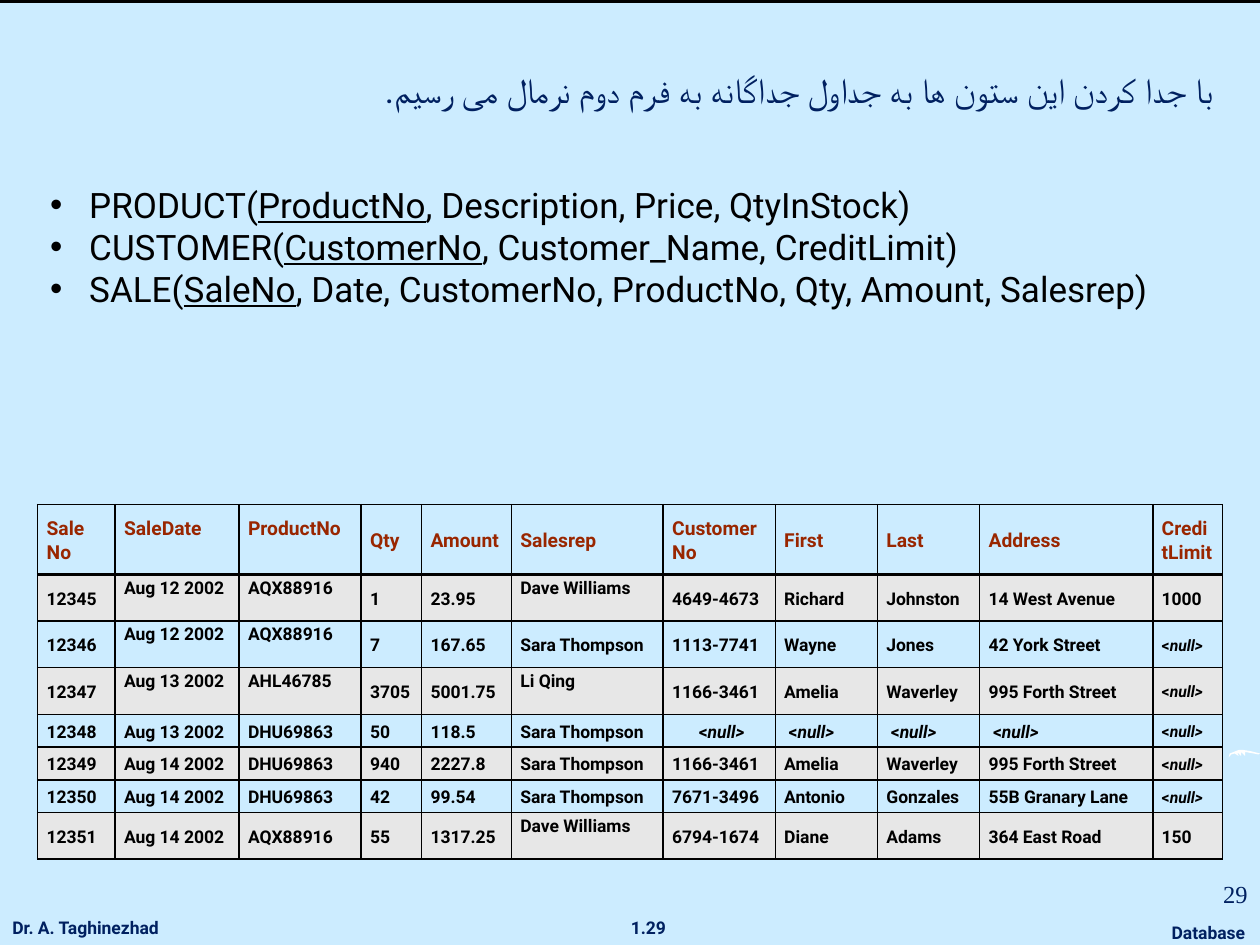
from lxml.etree import SubElement
from pptx import Presentation
from pptx.dml.color import RGBColor
from pptx.enum.shapes import MSO_SHAPE as Shape
from pptx.enum.text import MSO_ANCHOR as Anchor, PP_ALIGN as Align
from pptx.oxml import parse_xml
from pptx.oxml.ns import nsdecls, qn
from pptx.util import Cm, Pt

BLACK, NAVY, RUST = "000000", "002060", "992600"
SKY, GREY, WHITE = "CCECFF", "E7E7E7", "FFFFFF"
FONT = "Roboto"
NULL = "<null>"

FOOTERS = [
    ("Dr. A. Taghinezhad", 0, 18.36, 3.73, Align.LEFT),
    ("1.29", 12.45, 18.36, 1.24, Align.CENTER),
    ("Database", 23.32, 18.47, 2.08, Align.CENTER),
]
RELATIONS = [
    ("PRODUCT(", "ProductNo", ", Description, Price, QtyInStock)"),
    ("CUSTOMER(", "CustomerNo", ", Customer_Name, CreditLimit)"),
    ("SALE(", "SaleNo", ", Date, CustomerNo, ProductNo, Qty, Amount, Salesrep)"),
]
COLUMN_WIDTHS = [1.56, 2.5, 2.46, 1.22, 1.81, 3.06, 2.26, 2.06, 2.06, 3.49, 1.41]
ROW_HEIGHTS = [1.41, 0.94, 0.94, 0.94, 0.66, 0.66, 0.66, 0.94]
SALES = [
    ["Sale No", "SaleDate", "ProductNo", "Qty", "Amount", "Salesrep",
     "CustomerNo", "First", "Last", "Address", "CreditLimit"],
    ["12345", "Aug 12 2002", "AQX88916", "1", "23.95", "Dave Williams",
     "4649-4673", "Richard", "Johnston", "14 West Avenue", "1000"],
    ["12346", "Aug 12 2002", "AQX88916", "7", "167.65", "Sara Thompson",
     "1113-7741", "Wayne", "Jones", "42 York Street", NULL],
    ["12347", "Aug 13 2002", "AHL46785", "3705", "5001.75", "Li Qing",
     "1166-3461", "Amelia", "Waverley", "995 Forth Street", NULL],
    ["12348", "Aug 13 2002", "DHU69863", "50", "118.5", "Sara Thompson",
     NULL, NULL, NULL, NULL, NULL],
    ["12349", "Aug 14 2002", "DHU69863", "940", "2227.8", "Sara Thompson",
     "1166-3461", "Amelia", "Waverley", "995 Forth Street", NULL],
    ["12350", "Aug 14 2002", "DHU69863", "42", "99.54", "Sara Thompson",
     "7671-3496", "Antonio", "Gonzales", "55B Granary Lane", NULL],
    ["12351", "Aug 14 2002", "AQX88916", "55", "1317.25", "Dave Williams",
     "6794-1674", "Diane", "Adams", "364 East Road", "150"],
]
# Columns, by row, whose text sits one line higher in the cell
RAISED = {0: (1, 2), 1: (1, 2, 5), 2: (1, 2), 3: (1, 2, 5), 7: (5,)}
CUSTOMER_COLUMN, LIMIT_COLUMN = 6, 10

SWOOSH = [
    (24.77, 15.27), (24.79, 15.19), (24.87, 15.16), (24.97, 15.12), (25.07, 15.12),
    (25.2, 15.14), (25.4, 15.19), (25.37, 15.21), (25.27, 15.19), (25.1, 15.16),
    (25.1, 15.24), (25.02, 15.16), (25.02, 15.24), (24.94, 15.16), (24.97, 15.24),
    (24.89, 15.19), (24.82, 15.21),
]


def color(value):
    return RGBColor.from_string(value)


def add_run(paragraph, text, size, value, bold=False, italic=False,
            underline=False, font=FONT):
    run = paragraph.add_run()
    run.text = text
    run.font.size, run.font.name = Pt(size), font
    run.font.bold, run.font.italic, run.font.underline = bold, italic, underline
    run.font.color.rgb = color(value)
    return run


def add_text_box(slide, left, top, width, height, align=Align.LEFT, wrap=True):
    """Add an empty text box and return its text frame."""
    box = slide.shapes.add_textbox(Cm(left), Cm(top), Cm(width), Cm(height))
    box.text_frame.word_wrap = wrap
    box.text_frame.paragraphs[0].alignment = align
    return box.text_frame


def paint(shape, value):
    shape.shadow.inherit = False
    shape.fill.solid()
    shape.fill.fore_color.rgb = color(value)


def add_decoration(slide):
    builder = slide.shapes.build_freeform(Cm(SWOOSH[0][0]), Cm(SWOOSH[0][1]))
    builder.add_line_segments([(Cm(x), Cm(y)) for x, y in SWOOSH[1:]], close=True)
    swoosh = builder.convert_to_shape()
    paint(swoosh, WHITE)
    swoosh.line.fill.background()

    top_bar = slide.shapes.add_shape(Shape.RECTANGLE, 0, 0, Cm(25.4), Cm(0.05))
    paint(top_bar, BLACK)
    top_bar.line.color.rgb = color(BLACK)
    top_bar.line.width = Pt(0.75)


def add_title(slide, text):
    frame = add_text_box(slide, 3.12, -3.15, 21.59, 5.51, Align.RIGHT)
    frame.vertical_anchor = Anchor.BOTTOM
    paragraph = frame.paragraphs[0]
    paragraph._p.get_or_add_pPr().set("rtl", "1")
    run = add_run(paragraph, text, 20, NAVY)
    SubElement(run.font._element, qn("a:cs")).set("typeface", FONT)


def add_relations(slide):
    frame = add_text_box(slide, 0.76, 3.58, 23.88, 2.82)
    for index, (name, key, columns) in enumerate(RELATIONS):
        paragraph = frame.add_paragraph() if index else frame.paragraphs[0]
        properties = paragraph._p.get_or_add_pPr()
        properties.set("marL", str(Cm(0.79)))
        properties.set("indent", str(Cm(-0.79)))
        SubElement(properties, qn("a:buFont")).set("typeface", "Arial")
        SubElement(properties, qn("a:buChar")).set("char", "•")
        add_run(paragraph, name, 20, BLACK)
        add_run(paragraph, key, 20, BLACK, underline=True)
        add_run(paragraph, columns, 20, BLACK)


def set_borders(cell, top, bottom):
    """Draw the four cell borders; top and bottom are widths in points."""
    properties = cell._tc.get_or_add_tcPr()
    sides = [("L", 1), ("R", 1), ("T", top), ("B", bottom)]
    for position, (side, width) in enumerate(sides):
        properties.insert(position, parse_xml(
            f'<a:ln{side} {nsdecls("a")} w="{Pt(width)}"><a:solidFill>'
            f'<a:srgbClr val="{BLACK}"/></a:solidFill></a:ln{side}>'))


def fill_cell(cell, text, row, column):
    header = row == 0
    size = 11 if header else 10
    cell.vertical_anchor = Anchor.MIDDLE
    cell.margin_left = cell.margin_right = Cm(0.18)
    cell.margin_top = Cm(0.03)
    raised = column in RAISED.get(row, ())
    cell.margin_bottom = Pt(size * 1.25) if raised else 0
    paragraph = cell.text_frame.paragraphs[0]
    paragraph.line_spacing = 1.07
    if text == NULL:
        if column == LIMIT_COLUMN:
            size = 9
        else:
            cell.margin_left = Cm(0.27)
        if column == CUSTOMER_COLUMN:
            paragraph.alignment = Align.CENTER
        add_run(paragraph, "<", size, BLACK, bold=True)
        add_run(paragraph, "null>", size, BLACK, bold=True, italic=True)
    else:
        add_run(paragraph, text, size, RUST if header else BLACK, bold=True)
    if row % 2:
        cell.fill.solid()
        cell.fill.fore_color.rgb = color(GREY)
    else:
        cell.fill.background()
    set_borders(cell, 2 if row == 1 else 1, 2 if header else 1)


def add_sales_table(slide):
    table = slide.shapes.add_table(
        len(SALES), len(COLUMN_WIDTHS), Cm(0.76), Cm(10.17),
        Cm(sum(COLUMN_WIDTHS)), Cm(sum(ROW_HEIGHTS))).table
    table.first_row = table.horz_banding = False
    for column, width in zip(table.columns, COLUMN_WIDTHS):
        column.width = Cm(width)
    for row, height in zip(table.rows, ROW_HEIGHTS):
        row.height = Cm(height)
    for row, values in enumerate(SALES):
        for column, text in enumerate(values):
            fill_cell(table.cell(row, column), text, row, column)


def main():
    presentation = Presentation()
    presentation.slide_width, presentation.slide_height = Cm(25.4), Cm(19.05)
    slide = presentation.slides.add_slide(presentation.slide_layouts[6])
    slide.background.fill.solid()
    slide.background.fill.fore_color.rgb = color(SKY)

    for text, left, top, width, align in FOOTERS:
        frame = add_text_box(slide, left, top, width, 0.69, align, wrap=False)
        add_run(frame.paragraphs[0], text, 10, NAVY, bold=True)
    add_decoration(slide)
    add_title(slide, "با جدا کردن اين ستون ها به جداول جداگانه به فرم دوم نرمال می رسيم.")
    number = add_text_box(slide, 22.2, 17.6, 3.2, 1.02, Align.RIGHT)
    add_run(number.paragraphs[0], "29", 14, NAVY, font="Times New Roman")
    add_relations(slide)
    add_sales_table(slide)
    presentation.save("out.pptx")


if __name__ == "__main__":
    main()
